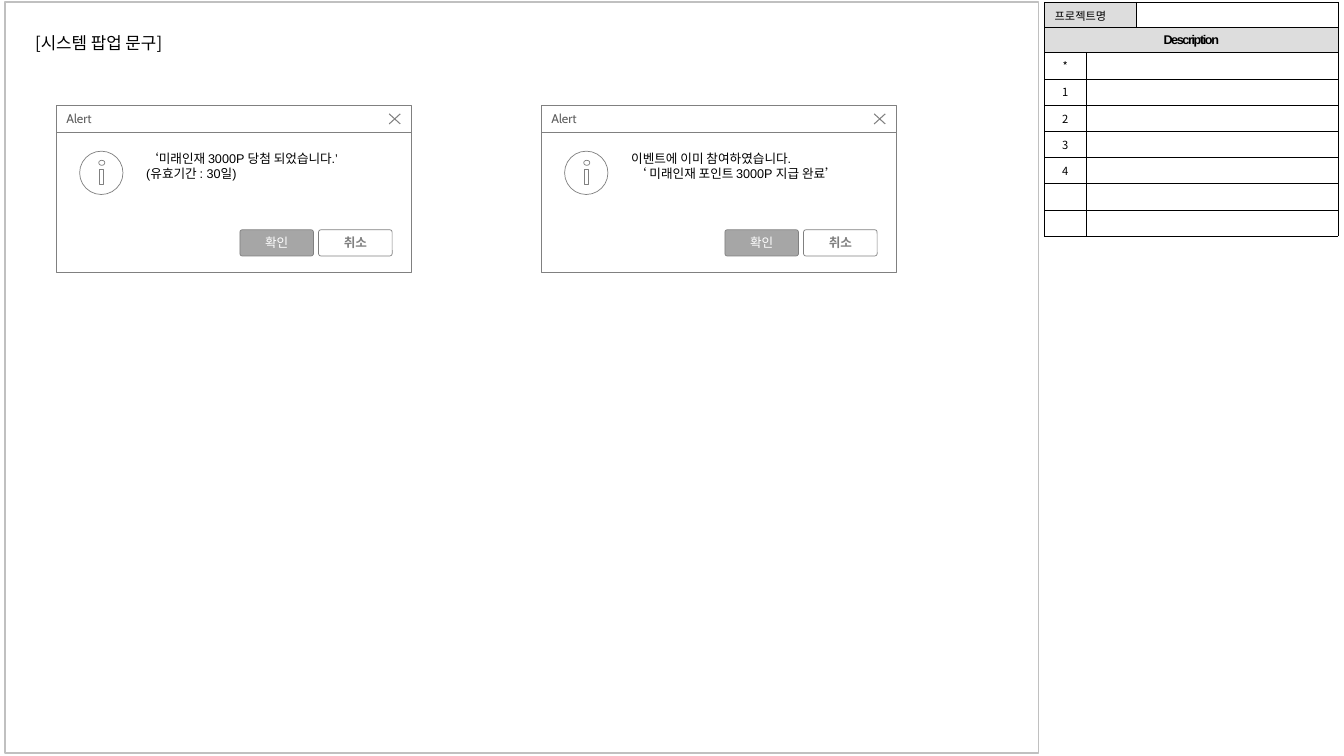
from dataclasses import dataclass

from lxml.etree import SubElement
from pptx import Presentation
from pptx.dml.color import RGBColor
from pptx.enum.shapes import MSO_SHAPE
from pptx.enum.text import MSO_ANCHOR, PP_ALIGN
from pptx.oxml.ns import qn
from pptx.util import Inches, Pt


@dataclass(frozen=True)
class Theme:
    black: RGBColor = RGBColor(0, 0, 0)
    white: RGBColor = RGBColor(255, 255, 255)
    frame: RGBColor = RGBColor(0xC0, 0xC0, 0xC0)
    outline: RGBColor = RGBColor(0x80, 0x80, 0x80)
    caption: RGBColor = RGBColor(0x5F, 0x5F, 0x5F)
    button: RGBColor = RGBColor(0xA6, 0xA6, 0xA6)
    header: RGBColor = RGBColor(0xDD, 0xDD, 0xDD)
    title_size: Pt = Pt(12)
    body_size: Pt = Pt(9)
    table_size: Pt = Pt(8)
    korean: str = "Noto Sans CJK KR"
    message: str = "Arial"
    control: str = "Cabin"


theme = Theme()


def style_text(paragraph, name, size, color, bold=False, align=PP_ALIGN.LEFT):
    paragraph.alignment = align
    font = paragraph.font
    font.name, font.size, font.bold = name, size, bold
    font.color.rgb = color
    properties = paragraph._p.pPr.find(qn("a:defRPr"))
    SubElement(properties, qn("a:ea")).set("typeface", theme.korean)


def add_box(shapes, kind, left, top, width, height, fill=None, line=theme.outline, weight=0.5):
    shape = shapes.add_shape(kind, Inches(left), Inches(top), Inches(width), Inches(height))
    shape.shadow.inherit = False
    if fill is None:
        shape.fill.background()
    else:
        shape.fill.solid()
        shape.fill.fore_color.rgb = fill
    shape.line.color.rgb = line
    shape.line.width = Pt(weight)
    return shape


presentation = Presentation()
presentation.slide_width, presentation.slide_height = Inches(13.33), Inches(7.5)
slide = presentation.slides.add_slide(presentation.slide_layouts[6])

add_box(slide.shapes, MSO_SHAPE.RECTANGLE, 0.05, 0.02, 10.25, 7.45, line=theme.frame, weight=1)

title = slide.shapes.add_textbox(Inches(0.25), Inches(0.28), Inches(1.6), Inches(0.3))
title.text_frame.word_wrap = False
title.text_frame.text = "[시스템 팝업 문구]"
style_text(title.text_frame.paragraphs[0], theme.korean, theme.title_size, theme.black)

row_labels = ["프로젝트명", "Description", "*", "1", "2", "3", "4", "", ""]
row_heights = [0.25, 0.25] + [0.26] * 7
table = slide.shapes.add_table(
    len(row_labels), 3, Inches(10.36), Inches(0.02), Inches(2.91), Inches(sum(row_heights))
).table
table.first_row = table.horz_banding = False
for column, width in zip(table.columns, [0.41, 0.5, 2]):
    column.width = Inches(width)

for row, (label, height) in enumerate(zip(row_labels, row_heights)):
    table.rows[row].height = Inches(height)
    for column in range(3):
        cell = table.cell(row, column)
        cell.vertical_anchor = MSO_ANCHOR.MIDDLE
        for side in ("a:lnL", "a:lnR", "a:lnT", "a:lnB"):
            border = SubElement(cell._tc.get_or_add_tcPr(), qn(side), w=str(Pt(0.25)))
            border_fill = SubElement(border, qn("a:solidFill"))
            SubElement(border_fill, qn("a:srgbClr"), val=str(theme.black))
        cell.fill.solid()
        shaded = row == 1 or (row == 0 and column < 2)
        cell.fill.fore_color.rgb = theme.header if shaded else theme.white
        if column or not label:
            paragraph = cell.text_frame.paragraphs[0]
            SubElement(paragraph._p, qn("a:endParaRPr"), sz=str(theme.table_size.centipoints))

    label_cell = table.cell(row, 0)
    if label:
        label_cell.text = label
        paragraph = label_cell.text_frame.paragraphs[0]
        if label == "Description":
            style_text(paragraph, theme.message, theme.body_size, theme.black, True, PP_ALIGN.CENTER)
            paragraph._p.pPr.find(qn("a:defRPr")).set("spc", "-100")
        else:
            align = PP_ALIGN.CENTER if row else PP_ALIGN.LEFT
            style_text(paragraph, theme.korean, theme.table_size, theme.black, align=align)
    if row > 1:
        label_cell.margin_left = label_cell.margin_right = Inches(0.04)
    first, last = [(0, 1), (0, 2)][row] if row < 2 else (1, 2)
    table.cell(row, first).merge(table.cell(row, last))

popups = [
    (0.56, ["‘미래인재 3000P 당첨 되었습니다.’", "(유효기간 : 30일)"]),
    (5.37, ["이벤트에 이미 참여하였습니다.", " ‘ 미래인재 포인트 3000P 지급 완료’"]),
]
buttons = [
    ("취소", 2.6, None, theme.outline, True),
    ("확인", 1.82, theme.button, theme.white, False),
]
icon_parts = [
    (MSO_SHAPE.OVAL, 0.23, 1.5, 0.43, 0.43),
    (MSO_SHAPE.OVAL, 0.42, 1.59, 0.06, 0.05),
    (MSO_SHAPE.RECTANGLE, 0.43, 1.68, 0.04, 0.15),
]

for left, lines in popups:
    shapes = slide.shapes.add_group_shape().shapes
    add_box(shapes, MSO_SHAPE.RECTANGLE, left, 1.31, 3.52, 1.39, theme.white)

    message = shapes.add_textbox(Inches(left + 0.81), Inches(1.46), Inches(2.51), Inches(0.75))
    frame = message.text_frame
    frame.word_wrap = True
    frame.margin_left = frame.margin_right = Inches(0.08)
    frame.margin_top = frame.margin_bottom = Inches(0.04)
    frame.text = "\n".join(lines)
    for paragraph in frame.paragraphs:
        style_text(paragraph, theme.message, theme.body_size, theme.black)

    caption = add_box(shapes, MSO_SHAPE.RECTANGLE, left, 1.05, 3.52, 0.26, theme.white)
    caption.text_frame.margin_right = Inches(0.25)
    caption.text_frame.text = "Alert"
    style_text(caption.text_frame.paragraphs[0], theme.control, theme.body_size, theme.caption)

    cross_left, cross_right = Inches(left + 3.3), Inches(left + 3.41)
    cross_top, cross_bottom = Inches(1.13), Inches(1.23)
    builder = shapes.build_freeform(cross_right, cross_top)
    builder.add_line_segments([(cross_left, cross_bottom)], close=False)
    builder.move_to(cross_left, cross_top)
    builder.add_line_segments([(cross_right, cross_bottom)], close=False)
    cross = builder.convert_to_shape()
    cross.shadow.inherit = False
    cross.fill.background()
    cross.line.color.rgb = theme.outline
    cross.line.width = Pt(0.75)

    for kind, offset, top, width, height in icon_parts:
        add_box(shapes, kind, left + offset, top, width, height)

    for label, offset, fill, color, bold in buttons:
        button = add_box(shapes, MSO_SHAPE.ROUNDED_RECTANGLE, left + offset, 2.28, 0.73, 0.26, fill)
        button.adjustments[0] = 0.09
        button.text_frame.text = label
        style_text(
            button.text_frame.paragraphs[0], theme.control, theme.body_size, color, bold, PP_ALIGN.CENTER
        )

presentation.save("out.pptx")
